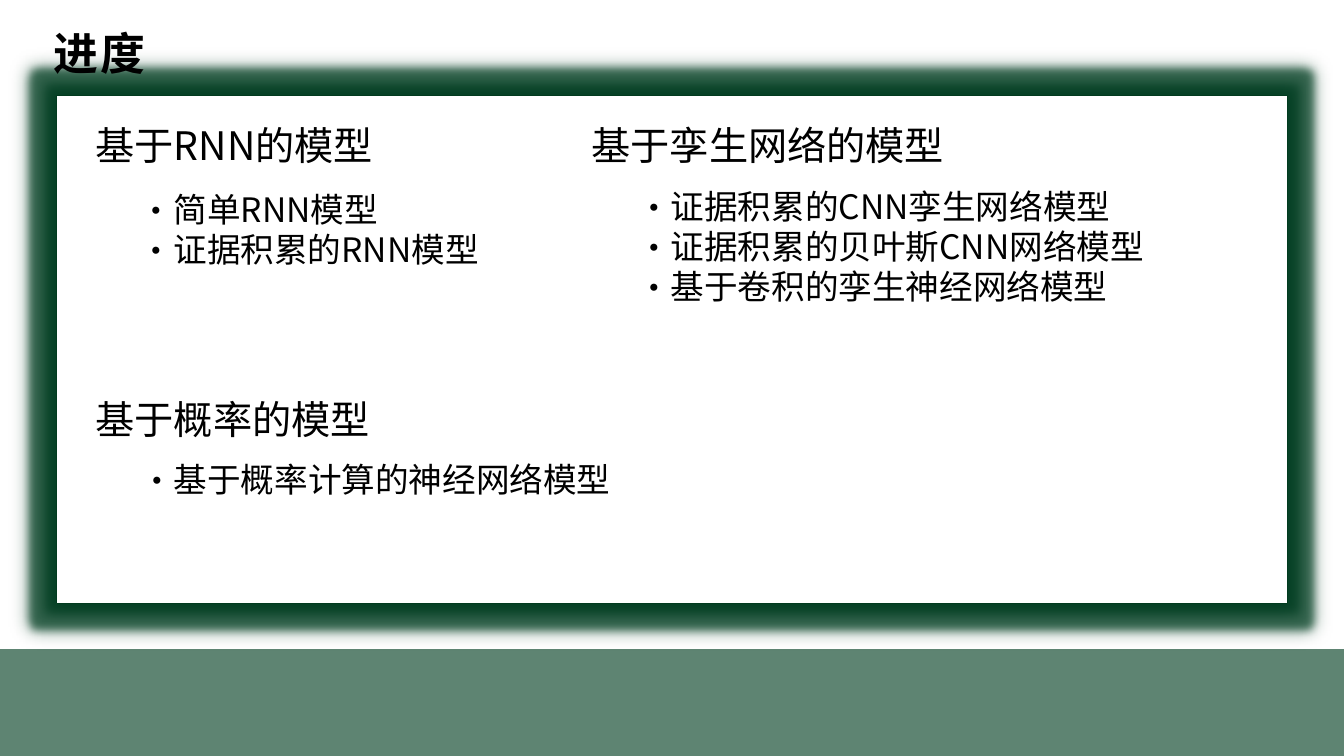
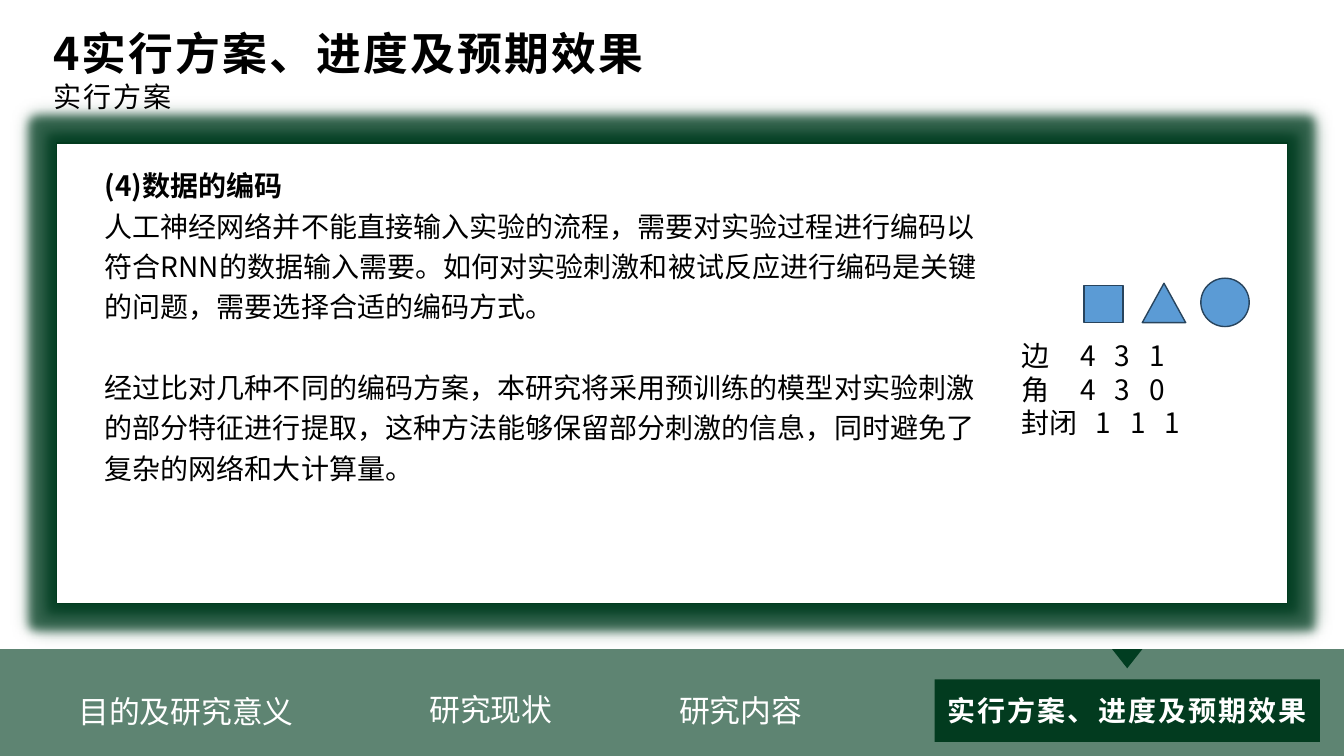
from dataclasses import dataclass

from lxml.etree import SubElement
from pptx import Presentation
from pptx.dml.color import RGBColor
from pptx.enum.shapes import MSO_SHAPE as Preset
from pptx.enum.text import MSO_ANCHOR as Anchor, PP_ALIGN as Align
from pptx.oxml.ns import qn
from pptx.util import Inches, Pt

FONT = "Noto Sans CJK SC"
GREEN, DARK_GREEN = "013D21", "023B1F"
BLUE, NAVY = "5B9BD5", "28445D"
BLACK, WHITE = "000000", "FFFFFF"
BAND_OPACITY = 63


@dataclass(frozen=True)
class Box:
    left: float
    top: float
    width: float
    height: float

    def lengths(self) -> list:
        return [Inches(v) for v in (self.left, self.top, self.width, self.height)]


@dataclass(frozen=True)
class Para:
    text: str
    size: float = 20
    color: str = BLACK
    bold: bool = False
    tracking: float = 0
    bullet: bool = False
    line: float = 1.0
    before: float = 0
    align: Align = Align.LEFT
    tabs: tuple = ()


@dataclass(frozen=True)
class Topic:
    heading: str
    heading_box: Box
    models: tuple
    models_box: Box


def rgb(value: str) -> RGBColor:
    return RGBColor.from_string(value)


def set_opacity(color_element, percent: int) -> None:
    SubElement(color_element, qn("a:alpha")).set("val", str(percent * 1000))


def write(frame, paras) -> None:
    for i, para in enumerate(paras):
        p = frame.paragraphs[0] if i == 0 else frame.add_paragraph()
        p.alignment = para.align
        if para.line != 1:
            p.line_spacing = para.line
        if para.before:
            p.space_before = Pt(para.before)
        props = p._p.get_or_add_pPr()
        if para.bullet:
            props.set("marL", "0")
            props.set("indent", "0")
            SubElement(props, qn("a:buFont")).set("typeface", FONT)
            SubElement(props, qn("a:buChar")).set("char", "·")
        if para.tabs:
            stops = SubElement(props, qn("a:tabLst"))
            for position in para.tabs:
                stop = SubElement(stops, qn("a:tab"))
                stop.set("pos", str(Inches(position)))
                stop.set("algn", "l")
        run = p.add_run()
        run.text = para.text
        font = run.font
        font.name, font.size, font.bold = FONT, Pt(para.size), para.bold
        font.color.rgb = rgb(para.color)
        run_props = run._r.get_or_add_rPr()
        SubElement(run_props, qn("a:ea")).set("typeface", FONT)
        if para.tracking:
            run_props.set("spc", str(int(para.tracking * 100)))


def add_text(slide, box: Box, *paras: Para, wrap: bool = True) -> None:
    frame = slide.shapes.add_textbox(*box.lengths()).text_frame
    frame.word_wrap = wrap
    write(frame, paras)


def add_figure(shapes, preset: Preset, box: Box, fill: str = "", line: str = ""):
    figure = shapes.add_shape(preset, *box.lengths())
    figure.shadow.inherit = False
    if fill:
        figure.fill.solid()
        figure.fill.fore_color.rgb = rgb(fill)
    else:
        figure.fill.background()
    if line:
        figure.line.color.rgb = rgb(line)
        figure.line.width = Pt(1)
    else:
        figure.line.fill.background()
    return figure


def add_tab(slide, preset: Preset, box: Box, label: Para, fill: str = "") -> None:
    frame = add_figure(slide.shapes, preset, box, fill).text_frame
    frame.word_wrap = True
    frame.vertical_anchor = Anchor.MIDDLE
    write(frame, [label])


def add_halo(panel) -> None:
    effects = panel._element.spPr.find(qn("a:effectLst"))
    glow = SubElement(effects, qn("a:glow"))
    glow.set("rad", str(Inches(0.17)))
    color = SubElement(glow, qn("a:srgbClr"))
    color.set("val", GREEN)
    set_opacity(color, BAND_OPACITY)
    shadow = SubElement(effects, qn("a:outerShdw"))
    shadow.set("blurRad", str(Inches(0.15)))
    shadow.set("dist", "0")
    SubElement(shadow, qn("a:srgbClr")).set("val", GREEN)


def add_base(deck, title: str, panel_top: float, subtitle: str = ""):
    slide = deck.slides.add_slide(deck.slide_layouts[6])
    band = add_figure(slide.shapes, Preset.RECTANGLE, Box(-0.25, 6.44, 13.79, 1.45), GREEN)
    set_opacity(band._element.spPr.find(qn("a:solidFill"))[0], BAND_OPACITY)
    panel_box = Box(0.56, panel_top, 12.21, 5.99 - panel_top)
    add_halo(add_figure(slide.shapes, Preset.RECTANGLE, panel_box, WHITE, DARK_GREEN))
    heads = [Para(title, 32, bold=True, tracking=1.5)]
    if subtitle:
        heads.append(Para(subtitle, tracking=1.5))
    add_text(slide, Box(0.43, 0.21, 7.15, 0.98 if subtitle else 0.64), *heads)
    return slide


def build_progress(deck) -> None:
    slide = add_base(deck, "进度", 0.95)
    topics = (
        Topic("基于RNN的模型", Box(0.85, 1.15, 3.74, 0.57),
              ("简单RNN模型", "证据积累的RNN模型"), Box(1.29, 1.82, 3.74, 1.31)),
        Topic("基于孪生网络的模型", Box(5.77, 1.15, 3.74, 0.57),
              ("证据积累的CNN孪生网络模型", "证据积累的贝叶斯CNN网络模型",
               "基于卷积的孪生神经网络模型"), Box(6.22, 1.79, 5.51, 1.72)),
        Topic("基于概率的模型", Box(0.85, 3.87, 3.74, 0.57),
              ("基于概率计算的神经网络模型",), Box(1.29, 4.5, 6.89, 0.5)),
    )
    for topic in topics:
        add_text(slide, topic.heading_box, Para(topic.heading, 28))
        add_text(slide, topic.models_box,
                 *(Para(model, 24, bullet=True) for model in topic.models))


def add_navigation(slide) -> None:
    add_tab(slide, Preset.ROUNDED_RECTANGLE, Box(6.04, 6.74, 2.61, 0.62),
            Para("研究内容", 22, WHITE, align=Align.CENTER))
    add_text(slide, Box(0.68, 6.82, 2.39, 0.47), Para("目的及研究意义", 22, WHITE), wrap=False)
    add_text(slide, Box(4.16, 6.8, 2.36, 0.47), Para("研究现状", 22, WHITE))
    add_tab(slide, Preset.RECTANGLE, Box(9.27, 6.74, 3.82, 0.62),
            Para("实行方案、进度及预期效果", 20, WHITE, True, 1.5, align=Align.CENTER),
            DARK_GREEN)
    marker = add_figure(slide.shapes, Preset.ISOSCELES_TRIANGLE,
                        Box(11.03, 6.44, 0.3, 0.19), GREEN)
    marker.rotation = 180


def add_feature_coding(slide) -> None:
    features = (("边", (4, 3, 1), 0.59), ("角", (4, 3, 0), 0.59), ("封闭", (1, 1, 1), 0.74))
    rows = []
    for name, codes, first_stop in features:
        stops = tuple(round(first_stop + 0.34 * i, 2) for i in range(len(codes)))
        rows.append(Para("\t".join([name, *map(str, codes)]), tabs=stops))
    add_text(slide, Box(10.03, 3.31, 2.31, 1.11), *rows)
    stimuli = slide.shapes.add_group_shape().shapes
    for preset, box in (
        (Preset.RECTANGLE, Box(10.75, 2.83, 0.39, 0.37)),
        (Preset.ISOSCELES_TRIANGLE, Box(11.33, 2.81, 0.43, 0.39)),
        (Preset.OVAL, Box(11.91, 2.76, 0.48, 0.48)),
    ):
        add_figure(stimuli, preset, box, BLUE, NAVY)


def build_encoding(deck) -> None:
    slide = add_base(deck, "4实行方案、进度及预期效果", 1.42, "实行方案")
    add_navigation(slide)
    add_text(
        slide, Box(0.94, 1.56, 8.9, 3.3),
        Para("(4)数据的编码", bold=True, line=1.2),
        Para("人工神经网络并不能直接输入实验的流程，需要对实验过程进行编码以符合RNN的数据输入需要。"
             "如何对实验刺激和被试反应进行编码是关键的问题，需要选择合适的编码方式。", line=1.2),
        Para("经过比对几种不同的编码方案，本研究将采用预训练的模型对实验刺激的部分特征进行提取，"
             "这种方法能够保留部分刺激的信息，同时避免了复杂的网络和大计算量。", line=1.2, before=28.9),
    )
    add_feature_coding(slide)


def main() -> None:
    deck = Presentation()
    deck.slide_width, deck.slide_height = Inches(13.33), Inches(7.5)
    build_progress(deck)
    build_encoding(deck)
    deck.save("out.pptx")


if __name__ == "__main__":
    main()
